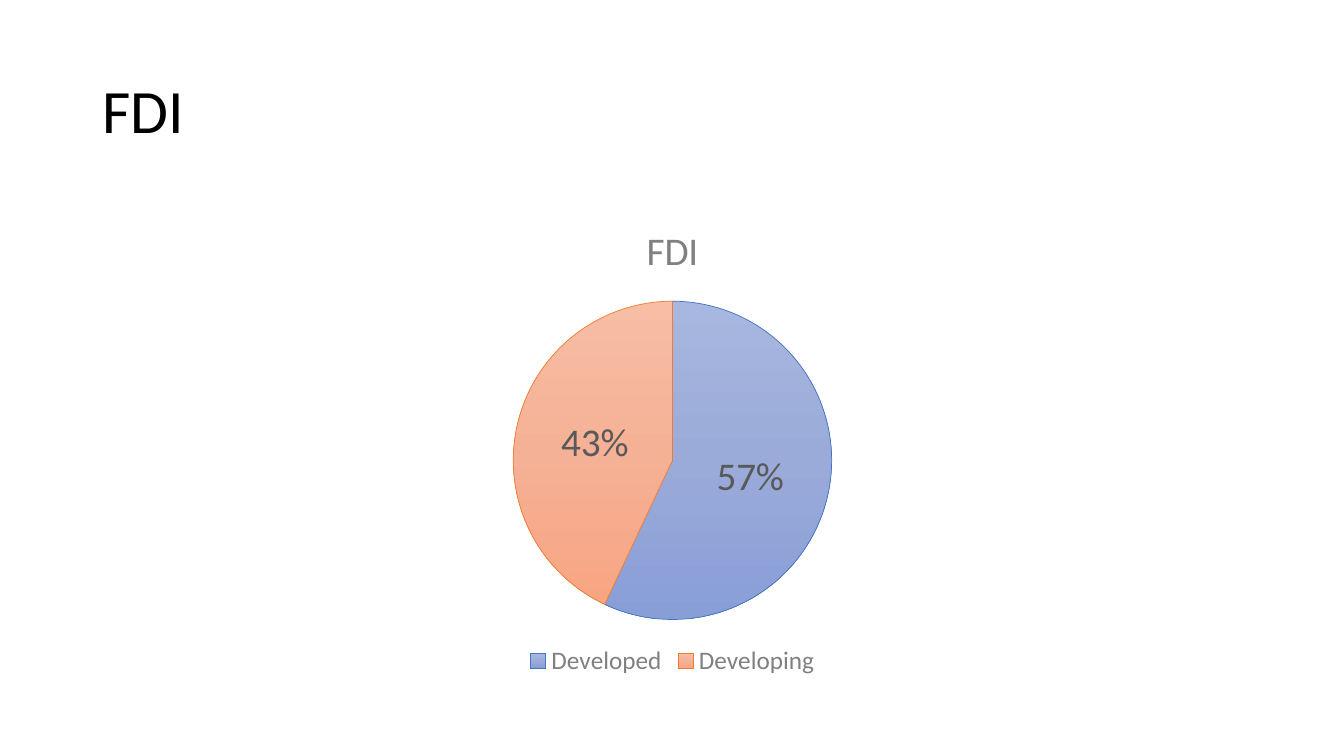
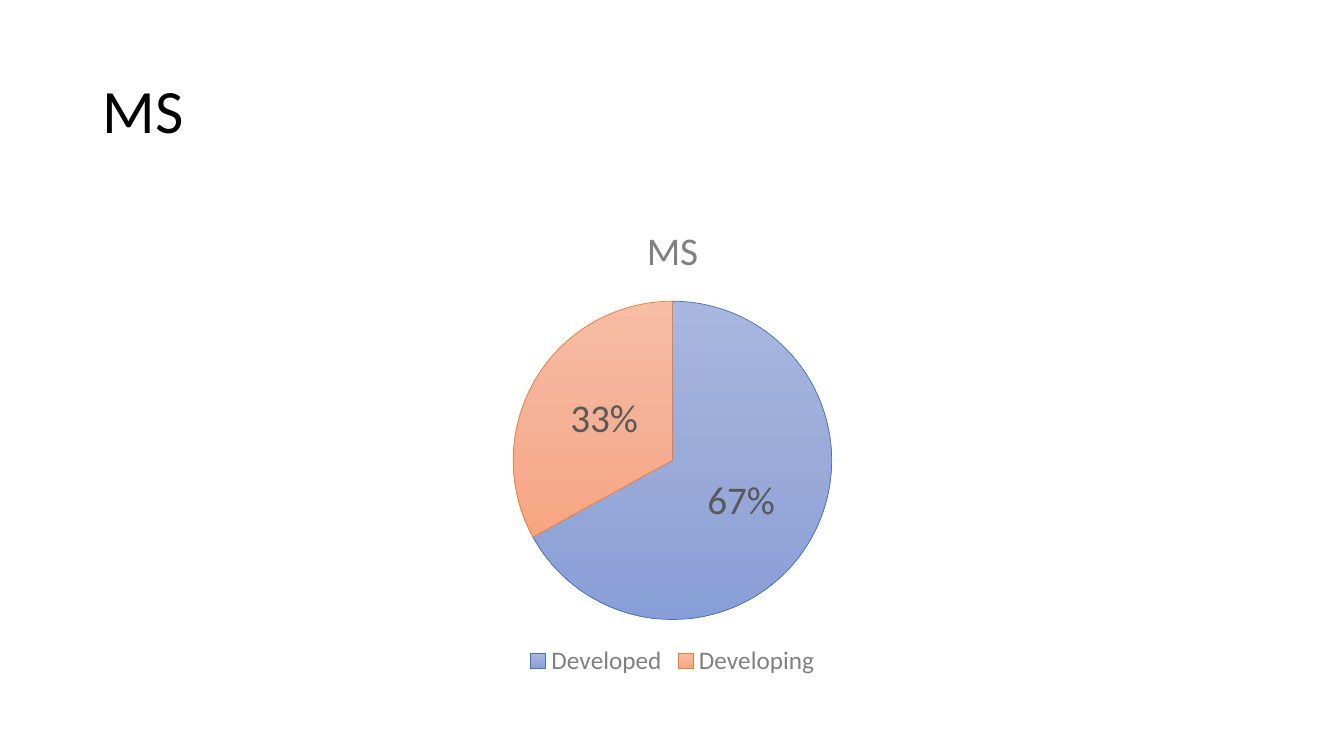
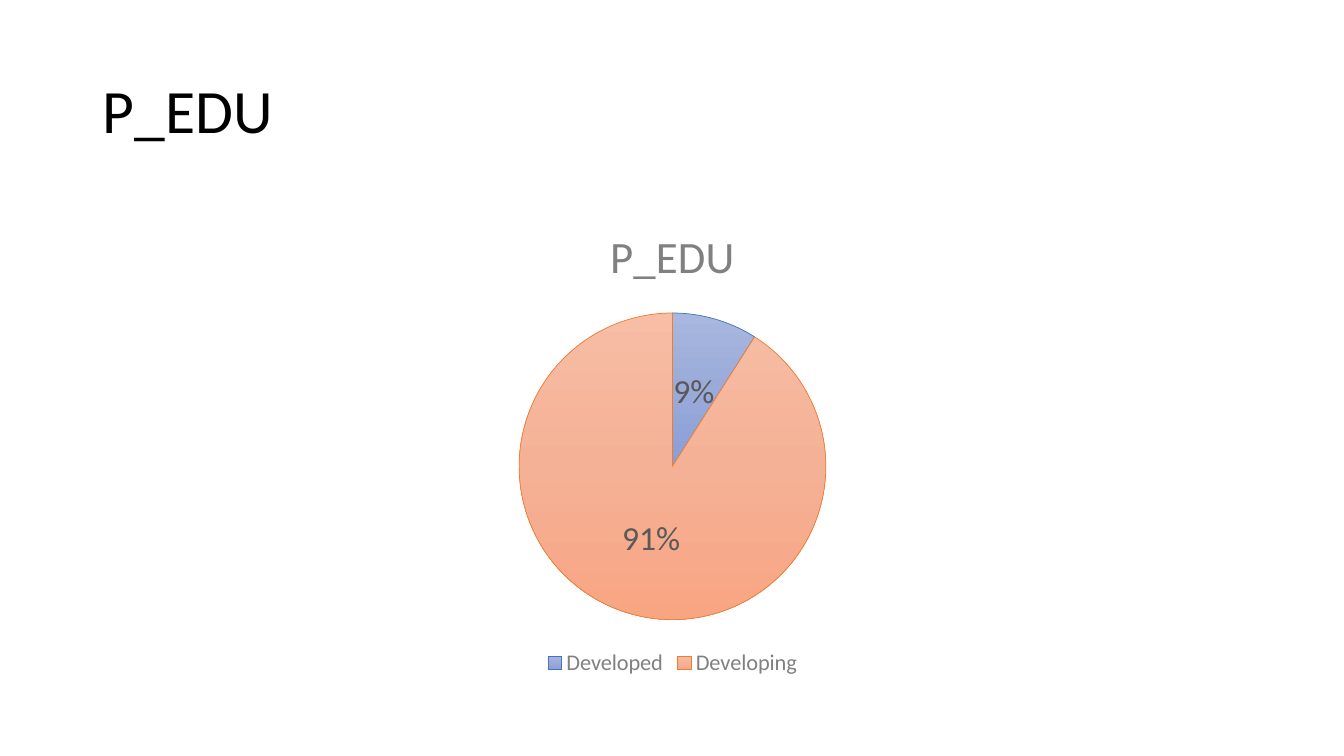
"""Build three slides that each show a pie chart of developed and developing shares."""
from copy import deepcopy

from pptx import Presentation
from pptx.chart.data import CategoryChartData
from pptx.dml.color import RGBColor
from pptx.enum.chart import XL_CHART_TYPE, XL_LABEL_POSITION, XL_LEGEND_POSITION
from pptx.enum.text import MSO_ANCHOR
from pptx.util import Inches, Pt

FONT = "Calibri"
BLACK = RGBColor(0x00, 0x00, 0x00)
GRAY = RGBColor(0x80, 0x80, 0x80)
DARK_GRAY = RGBColor(0x59, 0x59, 0x59)
BLUE = RGBColor(0x44, 0x72, 0xC4)
ORANGE = RGBColor(0xED, 0x7D, 0x31)
BLUE_GRADIENT = (RGBColor(0xA8, 0xB7, 0xDF), RGBColor(0x9A, 0xAB, 0xD9), RGBColor(0x88, 0x9E, 0xD7))
ORANGE_GRADIENT = (RGBColor(0xF7, 0xBD, 0xA5), RGBColor(0xF5, 0xB1, 0x96), RGBColor(0xF8, 0xA5, 0x82))
SLICE_STYLES = ((BLUE_GRADIENT, BLUE), (ORANGE_GRADIENT, ORANGE))
CATEGORIES = ("Developed", "Developing")
LEFT, WIDTH = Inches(0.92), Inches(11.5)


def style_font(font, size, color):
    font.name = FONT
    font.size = Pt(size)
    font.bold = False
    font.color.rgb = color


def write_text(frame, text, size=44, color=BLACK, line_spacing=None):
    para = frame.paragraphs[0]
    para.line_spacing = line_spacing
    span = para.add_run()
    span.text = text
    style_font(span.font, size, color)


class PieDeck:
    """Hold the deck, its shared style and the current slide."""

    def __init__(self):
        self.deck = Presentation()
        self.deck.slide_width = Inches(13.33)
        self.deck.slide_height = Inches(7.5)
        self.page = None

    def add_page(self, title):
        self.page = self.deck.slides.add_slide(self.deck.slide_layouts[6])
        box = self.page.shapes.add_textbox(LEFT, Inches(0.4), WIDTH, Inches(1.45))
        frame = box.text_frame
        frame.word_wrap = True
        frame.vertical_anchor = MSO_ANCHOR.MIDDLE
        write_text(frame, title, line_spacing=0.9)

    def add_pie(self, name, values, title_size, label_size, legend_size):
        data = CategoryChartData()
        data.categories = CATEGORIES
        data.add_series(name, values)
        chart = self.page.shapes.add_chart(
            XL_CHART_TYPE.PIE, LEFT, Inches(2), WIDTH, Inches(4.76), data
        ).chart
        style_font(chart.font, 10, BLACK)
        chart.has_title = True
        write_text(chart.chart_title.text_frame, name, size=title_size, color=GRAY)
        chart.has_legend = True
        chart.legend.position = XL_LEGEND_POSITION.BOTTOM
        chart.legend.include_in_layout = False
        style_font(chart.legend.font, legend_size, GRAY)
        plot = chart.plots[0]
        plot.vary_by_categories = True
        series = plot.series[0]
        for index, (gradient, outline) in enumerate(SLICE_STYLES):
            self.style_slice(series, index, gradient, outline)
        labels = series.data_labels
        labels.show_value = False
        labels.show_percentage = True
        labels.number_format = "0%"
        labels.number_format_is_linked = False
        labels.position = XL_LABEL_POSITION.CENTER
        style_font(labels.font, label_size, DARK_GRAY)

    def style_slice(self, series, index, gradient, outline):
        slice_format = series.points[index].format
        fill = slice_format.fill
        fill.gradient()
        fill.gradient_angle = 270
        stop_list = series._element.xpath("./c:dPt/c:spPr/a:gradFill/a:gsLst")[index]
        stop_list.insert(1, deepcopy(stop_list[0]))
        for stop, color, position in zip(fill.gradient_stops, gradient, (0, 0.5, 1)):
            stop.color.rgb = color
            stop.position = position
        slice_format.line.color.rgb = outline
        slice_format.line.width = Pt(0.5)


PIES = (
    ("FDI", (57, 43), 28, 28, 18),
    ("MS", (67, 33), 28, 28, 18),
    ("P_EDU", (9, 91), 32, 24, 16),
)

pie_deck = PieDeck()
for name, values, title_size, label_size, legend_size in PIES:
    pie_deck.add_page(name)
    pie_deck.add_pie(name, values, title_size, label_size, legend_size)
pie_deck.deck.save("out.pptx")
